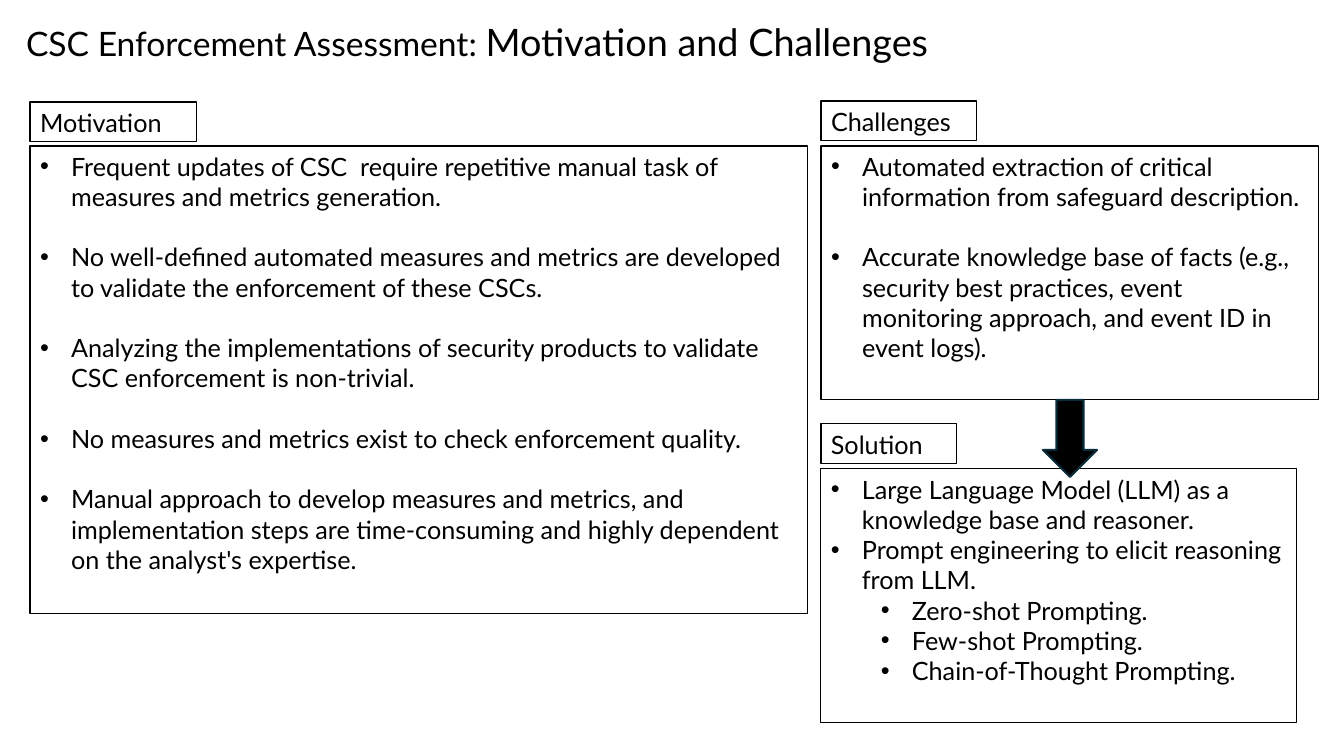
"""Build the slide on motivation, challenges and solution of CSC enforcement assessment."""
from lxml.etree import SubElement
from pptx import Presentation
from pptx.dml.color import RGBColor
from pptx.enum.shapes import MSO_SHAPE as Shape
from pptx.enum.text import MSO_ANCHOR as Anchor, MSO_AUTO_SIZE as Fit, PP_ALIGN as Align
from pptx.oxml.ns import qn
from pptx.util import Pt

TITLE = [("CSC Enforcement Assessment: ", 24), ("Motivation and Challenges", 27)]
TITLE_BOX = (16, 14, 1231, 57)

PANELS = [
    {
        "label": "Motivation", "tag": (30, 102, 167, 40),
        "box": (30, 146, 778, 468), "gap": 21.6,
        "items": [
            (0, "Frequent updates of CSC  require repetitive manual task of measures and metrics generation."),
            (0, "No well-defined automated measures and metrics are developed to validate the enforcement of these CSCs."),
            (0, "Analyzing the implementations of security products to validate CSC enforcement is non-trivial."),
            (0, "No measures and metrics exist to check enforcement quality."),
            (0, "Manual approach to develop measures and metrics, and implementation steps are "
                "time-consuming and highly dependent on the analyst's expertise."),
        ],
    },
    {
        "label": "Challenges", "tag": (821, 101, 156, 40),
        "box": (821, 146, 498, 254), "gap": 21.6,
        "items": [
            (0, "Automated extraction of critical information from safeguard description."),
            (0, "Accurate knowledge base of facts (e.g., security best practices, event "
                "monitoring approach, and event ID in event logs)."),
        ],
    },
    {
        "label": "Solution", "tag": (821, 424, 136, 40),
        "box": (821, 469, 476, 254), "gap": 0,
        "items": [
            (0, "Large Language Model (LLM) as a knowledge base and reasoner."),
            (0, "Prompt engineering to elicit reasoning from LLM."),
            (1, "Zero-shot Prompting."),
            (1, "Few-shot Prompting."),
            (1, "Chain-of-Thought Prompting."),
        ],
    },
]
ARROW = (1043, 400, 54, 77)

FONT, BLACK, EDGE = "Lato", "000000", "092A39"
HANG, STEP = 31, 50
SCALE = 914400 / 100.8


def px(n):
    return round(n * SCALE)


def color(code):
    return RGBColor.from_string(code)


def place(shape, box):
    shape.left, shape.top, shape.width, shape.height = map(px, box)


def outline(shape, code, width):
    shape.line.color.rgb = color(code)
    shape.line.width = Pt(width)


def style(run, size):
    run.font.name, run.font.size, run.font.bold = FONT, Pt(size), False
    run.font.color.rgb = color(BLACK)


def setup(shape, box):
    place(shape, box)
    frame = shape.text_frame
    frame.word_wrap, frame.auto_size = True, Fit.NONE
    frame.vertical_anchor = Anchor.TOP
    return frame


def bullet(para, level):
    para.level = level
    props = para._p.get_or_add_pPr()
    props.set("marL", str(px(HANG + STEP * level)))
    props.set("indent", str(-px(HANG)))
    SubElement(props, qn("a:buFont"), typeface="Arial")
    SubElement(props, qn("a:buChar"), char="•")


def fill(shape, box, items, gap=0, marked=True):
    frame = setup(shape, box)
    outline(shape, BLACK, 0.75)
    frame.text = "\n".join(text for _, text in items)
    for i, (para, (level, _)) in enumerate(zip(frame.paragraphs, items)):
        para.alignment = Align.LEFT
        para.space_before = Pt(gap if i else 0)
        if marked:
            bullet(para, level)
        style(para.runs[0], 18)


def main():
    deck = Presentation()
    deck.slide_width, deck.slide_height = px(1344), px(756)
    slide = deck.slides.add_slide(deck.slide_layouts[4])
    title, *holders = slide.placeholders

    para = setup(title, TITLE_BOX).paragraphs[0]
    para.alignment = Align.LEFT
    for text, size in TITLE:
        run = para.add_run()
        run.text = text
        style(run, size)

    holders += [slide.shapes.add_textbox(0, 0, 0, 0) for _ in range(2)]
    for panel, tag, body in zip(PANELS, holders[::2], holders[1::2]):
        fill(tag, panel["tag"], [(0, panel["label"])], marked=False)
        fill(body, panel["box"], panel["items"], panel["gap"])

    arrow = slide.shapes.add_shape(Shape.DOWN_ARROW, *map(px, ARROW))
    arrow.shadow.inherit = False
    arrow.fill.solid()
    arrow.fill.fore_color.rgb = color(BLACK)
    outline(arrow, EDGE, 1.5)
    deck.save("out.pptx")


if __name__ == "__main__":
    main()
